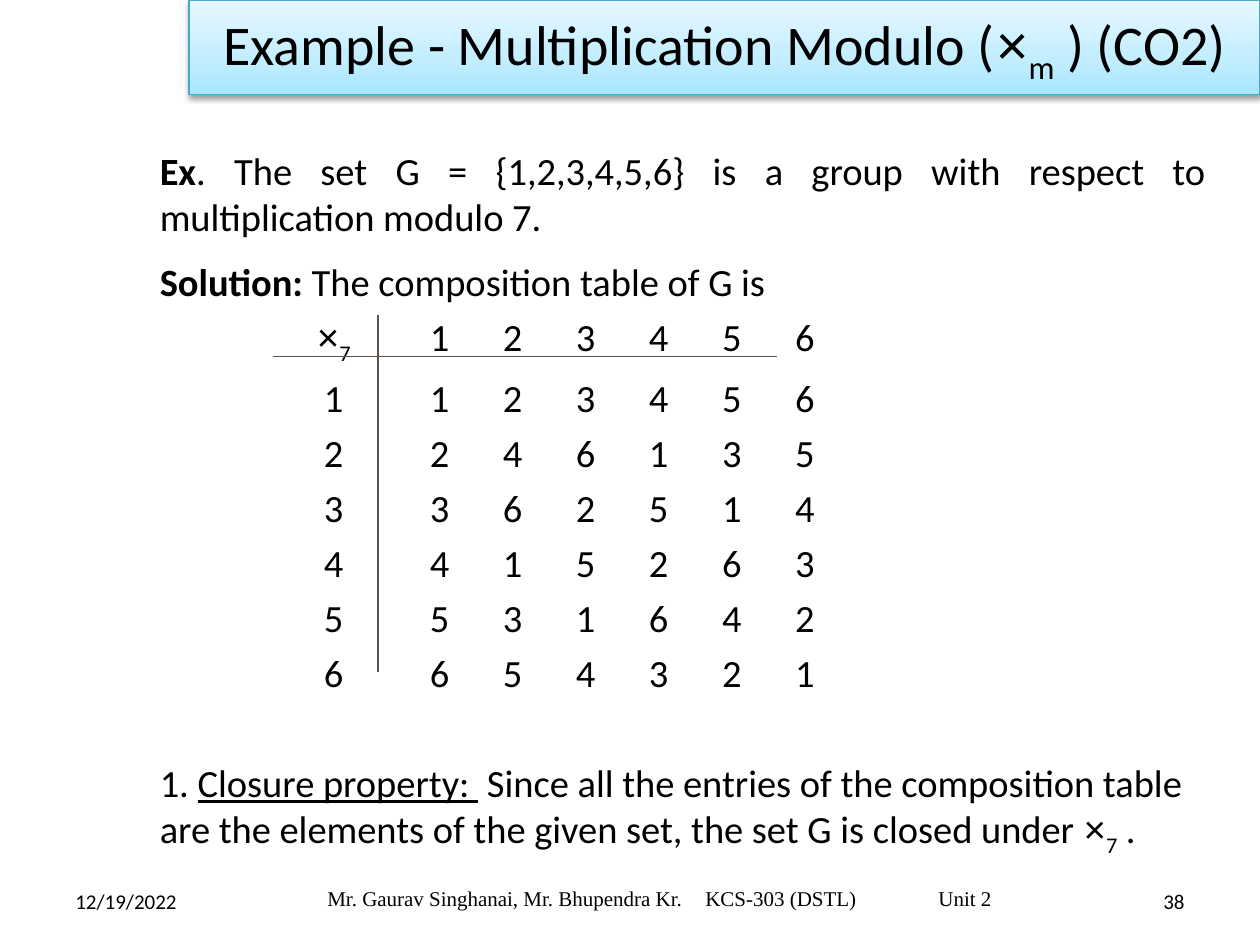
from copy import deepcopy
from dataclasses import dataclass

from lxml import etree
from pptx import Presentation, util as u
from pptx.dml.color import RGBColor
from pptx.enum import shapes, text
from pptx.oxml.ns import qn


@dataclass(frozen=True)
class Theme:
    ink: str = "000000"
    rule: str = "5B5249"
    banner_line: str = "46AAC5"
    banner_stops: tuple = ((0, "A7E6FF"), (0.35, "C1EDFF"), (1, "E7F8FF"))
    font: str = "Calibri"
    symbol_font: str = "Arial"
    footer_font: str = "Times New Roman"
    title: int = 32
    body: int = 22
    footer: int = 12
    thin: float = 0.75


THEME = Theme()
ALIGN = text.PP_ALIGN
MODULUS = 7
COLUMN_TABS = [(1.38, "ctr")] + [(2.22 + 0.58 * i, "ctr") for i in range(MODULUS - 1)]


def add_run(p, content, size=THEME.body, font=THEME.font, bold=False,
            underline=False, subscript=False):
    r = p.add_run()
    r.text = content
    f = r.font
    f.size, f.name, f.bold = u.Pt(size), font, bold
    f.color.rgb = RGBColor.from_string(THEME.ink)
    if underline:
        f.underline = True
    if subscript:
        r._r.get_or_add_rPr().set("baseline", "-25000")


def add_times(p, modulus, **fmt):
    """Multiplication sign with its modulus as a subscript."""
    add_run(p, "×", **{**fmt, "font": THEME.symbol_font})
    add_run(p, str(modulus), subscript=True, **fmt)


def set_tabs(p, stops):
    tabs = etree.SubElement(p._p.get_or_add_pPr(), qn("a:tabLst"))
    for position, align in stops:
        etree.SubElement(tabs, qn("a:tab"), pos=str(u.Inches(position)), algn=align)


def add_box(s, left, top, width, height, anchor=text.MSO_ANCHOR.MIDDLE):
    box = s.shapes.add_textbox(*map(u.Inches, (left, top, width, height)))
    tf = box.text_frame
    tf.word_wrap = True
    tf.vertical_anchor = anchor
    return tf


def add_line(s, x1, y1, x2, y2):
    line = s.shapes.add_connector(shapes.MSO_CONNECTOR.STRAIGHT,
                                  *map(u.Inches, (x1, y1, x2, y2)))
    line.line.color.rgb = RGBColor.from_string(THEME.rule)
    line.line.width = u.Pt(THEME.thin)
    etree.SubElement(line._element.spPr, qn("a:effectLst"))


def add_shadow(sp):
    sp.shadow.inherit = False
    effects = sp._element.spPr.find(qn("a:effectLst"))
    shadow = etree.SubElement(effects, qn("a:outerShdw"), blurRad="40000",
                              dist="20000", dir="5400000", rotWithShape="0")
    color = etree.SubElement(shadow, qn("a:srgbClr"), val=THEME.ink)
    etree.SubElement(color, qn("a:alpha"), val="38000")


def add_banner(s):
    sp = s.shapes.add_shape(shapes.MSO_SHAPE.RECTANGLE, u.Inches(1.5), u.Inches(0),
                            u.Inches(8.5), u.Inches(0.75))
    sp.fill.gradient()
    sp.fill.gradient_angle = 90
    stops = sp._element.spPr.find(".//" + qn("a:gsLst"))
    stops.append(deepcopy(stops[0]))
    for stop, (position, color) in zip(sp.fill.gradient_stops, THEME.banner_stops):
        stop.position = position
        stop.color.rgb = RGBColor.from_string(color)
    sp.line.color.rgb = RGBColor.from_string(THEME.banner_line)
    sp.line.width = u.Pt(THEME.thin)
    add_shadow(sp)

    sp.text_frame.vertical_anchor = text.MSO_ANCHOR.MIDDLE
    p = sp.text_frame.paragraphs[0]
    p.alignment = ALIGN.CENTER
    add_run(p, "Example - Multiplication Modulo (", size=THEME.title)
    add_times(p, "m", size=THEME.title)
    add_run(p, " ) (CO2)", size=THEME.title)


def add_question(s):
    p = add_box(s, 1.17, 0.91, 8.5, 1.25).paragraphs[0]
    p.alignment = ALIGN.JUSTIFY
    add_run(p, "Ex", bold=True)
    add_run(p, ". The set G = {1,2,3,4,5,6} is a group with respect to "
               "multiplication modulo 7.")


def add_table_row(tf, entries):
    p = tf.add_paragraph()
    set_tabs(p, COLUMN_TABS)
    p.space_before = u.Pt(5)
    return p, "".join(f"\t{n}" for n in entries)


def add_solution(s):
    tf = add_box(s, 1.17, 2, 8.5, 4.5, anchor=text.MSO_ANCHOR.TOP)
    p = tf.paragraphs[0]
    add_run(p, "Solution: ", bold=True)
    add_run(p, "The composition table of G is")

    group = range(1, MODULUS)
    p, header = add_table_row(tf, group)
    add_run(p, "\t")
    add_times(p, MODULUS)
    add_run(p, header)
    for a in group:
        p, row = add_table_row(tf, [a] + [a * b % MODULUS for b in group])
        add_run(p, row)

    p = tf.add_paragraph()
    p.space_before = u.Pt(36.5)
    add_run(p, "1. ")
    add_run(p, "Closure property: ", underline=True)
    add_run(p, " Since all the entries of the composition table are the elements "
               "of the given set, the set G is closed under ")
    add_times(p, MODULUS)
    add_run(p, " .")

    add_line(s, 3, 2.5, 3, 5.33)
    add_line(s, 2.17, 2.83, 6.17, 2.83)


def add_footer(s, content, left, top, width, align=ALIGN.LEFT, font=THEME.font, tabs=()):
    p = add_box(s, left, top, width, 0.4).paragraphs[0]
    p.alignment = align
    if tabs:
        set_tabs(p, tabs)
    add_run(p, content, size=THEME.footer, font=font)


def main():
    prs = Presentation()
    prs.slide_width, prs.slide_height = u.Inches(10), u.Inches(7.5)
    s = prs.slides.add_slide(prs.slide_layouts[6])
    add_footer(s, "12/19/2022", 0.5, 6.95, 2.33)
    add_footer(s, "38", 7.17, 6.95, 2.33, align=ALIGN.RIGHT)
    add_banner(s)
    add_footer(s, "Mr. Gaurav Singhanai, Mr. Bhupendra Kr.\tKCS-303 (DSTL)\tUnit 2",
               2.5, 6.93, 5.5, font=THEME.footer_font, tabs=((3, "l"), (4.85, "l")))
    add_question(s)
    add_solution(s)
    prs.save("out.pptx")


if __name__ == "__main__":
    main()
